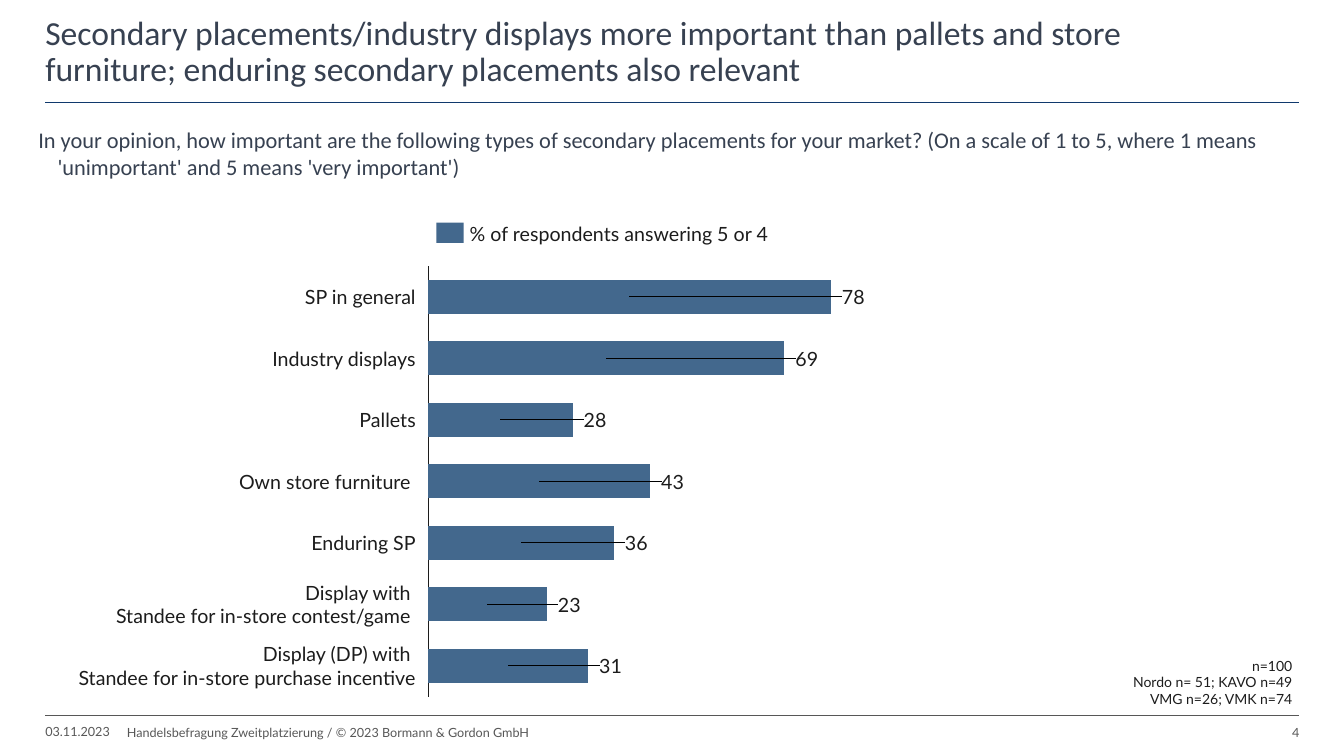
from lxml import etree
from pptx import Presentation
from pptx.chart.data import CategoryChartData
from pptx.dml.color import RGBColor
from pptx.enum.chart import (XL_CHART_TYPE as CT, XL_LABEL_POSITION as LP,
                             XL_TICK_LABEL_POSITION as TLP, XL_TICK_MARK as TM)
from pptx.enum.shapes import MSO_CONNECTOR as MC, MSO_SHAPE as MS
from pptx.enum.text import MSO_ANCHOR as MA, PP_ALIGN as PA
from pptx.oxml import parse_xml
from pptx.oxml.ns import nsdecls, qn
from pptx.util import Pt

TITLE = ("Secondary placements/industry displays more important than pallets and store \v"
         "furniture; enduring secondary placements also relevant")
QUESTION = ("In your opinion, how important are the following types of secondary placements "
            "for your market? (On a scale of 1 to 5, where 1 means 'unimportant' and "
            "5 means 'very important')")
LEGEND = "% of respondents answering 5 or 4"
RATINGS = [
    ("SP in general", 78),
    ("Industry displays", 69),
    ("Pallets", 28),
    ("Own store furniture ", 43),
    ("Enduring SP", 36),
    ("Display with \nStandee for in-store contest/game ", 23),
    ("Display (DP) with \nStandee for in-store purchase incentive", 31),
]
SAMPLE = "n=100\vNordo n= 51; KAVO n=49\vVMG n=26; VMK n=74"
DATE = "03.11.2023"
FOOTER = "Handelsbefragung Zweitplatzierung / © 2023 Bormann & Gordon GmbH"
PAGE = "4"

THEME = {
    "heading": "374151", "ink": "1C1C1C", "muted": "575757", "rule": "10396D", "bar": "43688D",
    "head_font": "Calibri", "body_font": "Lato",
    "title": 24, "question": 16, "label": 14, "note": 10, "footer": 9,
}
STYLES = {
    "title": ("head_font", "heading"),
    "question": ("head_font", "heading"),
    "label": ("body_font", "ink"),
    "note": ("body_font", "ink"),
    "footer": ("body_font", "muted"),
}
LEFT, RIGHT = 32.4, 928.1
CHART = (299.5, 183.6, 319.7, 320.4)
PLOT = {"x": 0.02, "y": 0.02, "w": 0.9, "h": 0.96}
LABEL_GAP = 0.05
ROW_TOP, ROW_H = 190.1, 43.93
C15 = "http://schemas.microsoft.com/office/drawing/2012/chart"


def rgb(name):
    return RGBColor.from_string(THEME[name])


def set_all(obj, values):
    for name, value in values.items():
        setattr(obj, name, value)


def set_font(font, style):
    face, color = STYLES[style]
    set_all(font, {"name": THEME[face], "size": Pt(THEME[style]), "bold": False})
    font.color.rgb = rgb(color)


def add_text(s, box, text, style, align=PA.LEFT, anchor=MA.MIDDLE, spacing=None, hang=0):
    tf = s.shapes.add_textbox(*map(Pt, box)).text_frame
    set_all(tf, {"word_wrap": True, "vertical_anchor": anchor, "margin_left": 0,
                 "margin_right": 0, "margin_top": 0, "margin_bottom": 0})
    tf.text = text
    for p in tf.paragraphs:
        set_all(p, {"alignment": align, "line_spacing": spacing})
        if hang:
            pPr = p._p.get_or_add_pPr()
            pPr.set("marL", str(Pt(hang)))
            pPr.set("indent", str(-Pt(hang)))
        for r in p.runs:
            set_font(r.font, style)


def add_rule(s, y, color):
    line = s.shapes.add_connector(MC.STRAIGHT, Pt(LEFT), Pt(y), Pt(RIGHT), Pt(y))
    line.line.width = Pt(0.75)
    line.line.color.rgb = rgb(color)
    etree.SubElement(line._element.spPr, qn("a:effectLst"))


def layout_xml(values, inner=False):
    target = '<c:layoutTarget val="inner"/>' if inner else ""
    modes = '<c:xMode val="edge"/><c:yMode val="edge"/>' if inner else ""
    parts = "".join(f'<c:{k} val="{v:.4f}"/>' for k, v in values.items())
    return parse_xml(f'<c:layout {nsdecls("c")}><c:manualLayout>{target}{modes}{parts}'
                     '</c:manualLayout></c:layout>')


def add_ratings_chart(s):
    values = [value for _, value in RATINGS]
    top = max(values)
    data = CategoryChartData()
    data.categories = [str(i + 1) for i in range(len(values))]
    data.add_series("Series 1", values)
    chart = s.shapes.add_chart(CT.BAR_STACKED, *map(Pt, CHART), data).chart
    set_all(chart, {"has_legend": False, "has_title": False})
    set_font(chart.font, "note")

    axis = chart.category_axis
    set_all(axis, {"reverse_order": True, "tick_label_position": TLP.NONE,
                   "major_tick_mark": TM.NONE, "minor_tick_mark": TM.NONE})
    axis.format.line.width = Pt(0.75)
    axis.format.line.color.rgb = rgb("ink")
    set_all(chart.value_axis, {"minimum_scale": 0, "maximum_scale": top, "visible": False,
                               "has_major_gridlines": False})

    plot = chart.plots[0]
    set_all(plot, {"gap_width": 80, "overlap": 100, "vary_by_categories": False})
    bars = plot.series[0]
    bars.format.fill.solid()
    bars.format.fill.fore_color.rgb = rgb("bar")
    labels = bars.data_labels
    labels.show_value = True
    set_font(labels.font, "label")
    for i, value in enumerate(values):
        label = bars.points[i].data_label
        label.position = LP.CENTER
        set_font(label.font, "label")
        node = bars._element.xpath(f"c:dLbls/c:dLbl[c:idx/@val='{i}']")[0]
        shift = PLOT["w"] / 2 * value / top + LABEL_GAP
        node.insert(1, layout_xml({"x": shift, "y": 0}))
    labels._element.append(parse_xml(
        f'<c:extLst {nsdecls("c")}><c:ext uri="{{CE6537A1-D6FC-4f65-9D91-7224C49458BB}}" '
        f'xmlns:c15="{C15}"><c15:showLeaderLines val="1"/></c:ext></c:extLst>'))

    area = chart._chartSpace.xpath("c:chart/c:plotArea")[0]
    for old in area.xpath("c:layout"):
        area.remove(old)
    area.insert(0, layout_xml(PLOT, inner=True))


def main():
    prs = Presentation()
    set_all(prs, {"slide_width": Pt(960), "slide_height": Pt(540)})
    s = prs.slides.add_slide(prs.slide_layouts[6])

    add_rule(s, 511.2, "muted")
    add_rule(s, 73.4, "rule")
    add_text(s, (LEFT, 10.8, RIGHT - LEFT, 52.6), TITLE, "title", anchor=MA.BOTTOM, spacing=0.9)
    add_text(s, (27.4, 90, 895.7, 40), QUESTION, "question", anchor=MA.TOP, hang=13.7)
    add_text(s, (715, 469.4, 208, 40), SAMPLE, "note", align=PA.RIGHT, anchor=MA.TOP)

    add_ratings_chart(s)
    for i, (name, _) in enumerate(RATINGS):
        add_text(s, (27, ROW_TOP + i * ROW_H, 270, ROW_H), name, "label", align=PA.RIGHT)

    sp = s.shapes.add_shape(MS.RECTANGLE, *map(Pt, (311.8, 159.1, 19.4, 14.4)))
    sp.shadow.inherit = False
    sp.fill.solid()
    sp.fill.fore_color.rgb = rgb("bar")
    sp.line.fill.background()
    add_text(s, (335.5, 158.4, 240, 16.6), LEGEND, "label")

    add_text(s, (LEFT, 517, 54.7, 10.8), DATE, "footer")
    add_text(s, (90.7, 517.7, 595, 10.8), FOOTER, "footer")
    add_text(s, (909.4, 517.7, 18.7, 10.8), PAGE, "footer", align=PA.RIGHT)
    prs.save("out.pptx")


if __name__ == "__main__":
    main()
